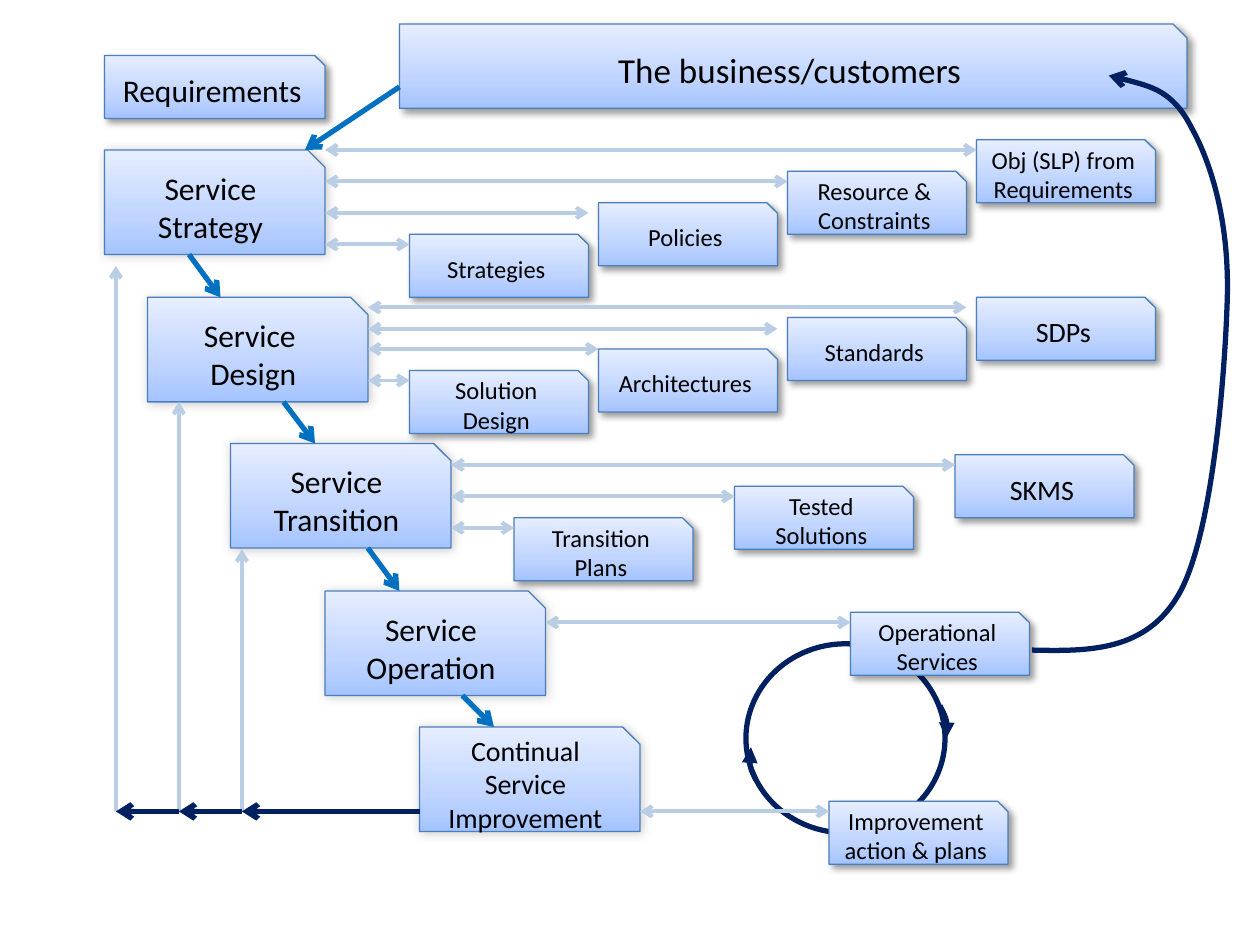
from dataclasses import dataclass
from itertools import pairwise

from lxml.etree import SubElement as Sub
from pptx import Presentation
from pptx.dml.color import RGBColor as Rgb
from pptx.enum.shapes import MSO_CONNECTOR as Link, MSO_SHAPE as Form
from pptx.enum.text import MSO_ANCHOR as Anchor, PP_ALIGN as Align
from pptx.oxml.ns import qn
from pptx.util import Inches, Pt

Point = tuple[float, float]


@dataclass(frozen=True)
class Theme:
    font: str = "Calibri"
    ink: str = "000000"
    edge: str = "4B7EBC"
    pale: str = "B9CDE5"
    blue: str = "0070C0"
    navy: str = "002060"
    grad: tuple = ((0, "A4C4FF"), (35, "BFD4FF"), (100, "E6EEFF"))
    small: int = 14
    mid: int = 16
    large: int = 18
    huge: int = 20
    hair: float = 0.75
    thin: float = 2.25
    thick: float = 3


@dataclass(frozen=True)
class Shade:
    alpha: int
    blur: int
    dist: int


@dataclass(frozen=True)
class Box:
    x: float
    y: float
    text: str
    size: int
    w: float = 1.42
    h: float = 0.5
    shade: Shade = Shade(40, 4, 3)


@dataclass(frozen=True)
class Stage:
    x: float
    y: float
    text: str
    size: int
    drop: float | None
    links: tuple[Point, ...]


@dataclass(frozen=True)
class Curve:
    start: Point
    steps: tuple[Point, ...]
    tip: str = "triangle"


LOOK = Theme()
SOFT = Shade(20, 6, 1)
WIDE, TALL = 1.75, 0.83
BASE = 6.44

STAGES = [
    Stage(0.83, 1.19, "Service Strategy", LOOK.large, 1.5,
          ((1.94, 3.25), (1.69, 4.67), (1.44, 6.25), (1.19, 7.75))),
    Stage(1.17, 2.36, "Service \vDesign", LOOK.large, 2.25,
          ((2.44, 7.67), (2.61, 6.17), (2.77, 4.75), (3.02, 3.25))),
    Stage(1.83, 3.52, "Service Transition", LOOK.large, 2.92,
          ((3.69, 7.58), (3.94, 5.83), (4.19, 4.08))),
    Stage(2.58, 4.69, "Service Operation", LOOK.large, 3.67, ((4.94, 6.75),)),
    Stage(3.33, 5.77, "Continual Service Improvement", LOOK.mid, None,
          ((BASE, 6.58),)),
]

BOXES = [
    Box(0.83, 0.44, "Requirements", LOOK.large, w=WIDE),
    Box(3.25, 1.86, "Strategies", LOOK.small),
    Box(4.75, 1.61, "Policies", LOOK.small),
    Box(6.25, 1.36, "Resource & Constraints", LOOK.small),
    Box(7.75, 1.11, "Obj (SLP) from Requirements", LOOK.small),
    Box(3.25, 2.94, "Solution Design", LOOK.small),
    Box(4.75, 2.77, "Architectures", LOOK.small),
    Box(6.25, 2.52, "Standards", LOOK.small),
    Box(7.75, 2.36, "SDPs", LOOK.mid),
    Box(4.08, 4.11, "Transition Plans", LOOK.small),
    Box(5.83, 3.86, "Tested Solutions", LOOK.small),
    Box(7.58, 3.61, "SKMS", LOOK.mid),
    Box(6.75, 4.86, "Operational Services", LOOK.small),
    Box(6.58, 6.36, "Improvement action & plans", LOOK.small),
    Box(3.17, 0.19, "The business/customers", LOOK.huge, w=6.25, h=0.67),
]

RISES = [(1.92, 4.36), (1.42, 3.19), (0.92, 2.11)]

CURVES = [
    Curve((8.19, 5.16), (
        (8.65, 5.17), (9.1, 5.17), (9.36, 4.71),
        (9.62, 4.25), (9.72, 3.01), (9.74, 2.39),
        (9.76, 1.78), (9.62, 1.31), (9.46, 1.02),
        (9.31, 0.72), (9.05, 0.66), (8.8, 0.6)), "arrow"),
    Curve((7.46, 5.6), ((7.5, 5.68), (7.54, 5.76), (7.51, 5.86))),
    Curve((6, 6.19), ((5.96, 6.11), (5.93, 6.03), (5.96, 5.93))),
]


def tint(node, color: str):
    return Sub(node, qn("a:srgbClr"), val=color)


def stroke(shape, color: str, width: float, head: str = "", tail: str = "") -> None:
    line = shape.line
    line.color.rgb = Rgb.from_string(color)
    line.width = Pt(width)
    for tag, kind in (("a:headEnd", head), ("a:tailEnd", tail)):
        if kind:
            Sub(line._get_or_add_ln(), qn(tag), type=kind)


def blend(shape) -> None:
    fill = Sub(shape._element.spPr, qn("a:gradFill"), rotWithShape="1")
    stops = Sub(fill, qn("a:gsLst"))
    for pos, color in LOOK.grad:
        tint(Sub(stops, qn("a:gs"), pos=str(pos * 1000)), color)
    Sub(fill, qn("a:lin"), ang=str(270 * 60000), scaled="0")


def cast(shape, shade: Shade) -> None:
    shape.shadow.inherit = False
    group = shape._element.spPr.find(qn("a:effectLst"))
    outer = Sub(group, qn("a:outerShdw"), blurRad=str(Pt(shade.blur)),
                dist=str(Pt(shade.dist)), dir=str(45 * 60000),
                algn="tl", rotWithShape="0")
    Sub(tint(outer, LOOK.ink), qn("a:alpha"), val=str(shade.alpha * 1000))


def draw_box(slide, box: Box) -> None:
    shape = slide.shapes.add_shape(Form.SNIP_1_RECTANGLE, Inches(box.x), Inches(box.y),
                                   Inches(box.w), Inches(box.h))
    blend(shape)
    stroke(shape, LOOK.edge, LOOK.hair)
    cast(shape, box.shade)
    frame = shape.text_frame
    frame.word_wrap = True
    frame.vertical_anchor = Anchor.MIDDLE
    para = frame.paragraphs[0]
    para.text = box.text
    para.alignment = Align.CENTER
    para.font.name = LOOK.font
    para.font.size = Pt(box.size)
    para.font.color.rgb = Rgb.from_string(LOOK.ink)


def draw_line(slide, start: Point, end: Point, color: str, width: float,
              head: str = "") -> None:
    ends = [Inches(v) for v in (*start, *end)]
    line = slide.shapes.add_connector(Link.STRAIGHT, *ends)
    stroke(line, color, width, head, "arrow")
    Sub(line._element.spPr, qn("a:effectLst"))


def draw_curve(slide, curve: Curve) -> None:
    pen = slide.shapes.build_freeform(*map(Inches, curve.start))
    pen.add_line_segments([(Inches(x), Inches(y)) for x, y in curve.steps], close=False)
    shape = pen.convert_to_shape()
    shape.fill.background()
    shape.shadow.inherit = False
    stroke(shape, LOOK.navy, LOOK.thick, tail=curve.tip)
    trace = next(shape._element.iter(qn("a:path")))
    legs = trace.findall(qn("a:lnTo"))
    for i in range(0, len(legs), 3):
        bend = Sub(trace, qn("a:cubicBezTo"))
        for leg in legs[i:i + 3]:
            bend.append(leg[0])
            trace.remove(leg)


def draw_ring(slide) -> None:
    ring = slide.shapes.add_shape(Form.OVAL, Inches(5.92), Inches(5.11),
                                  Inches(1.58), Inches(1.5))
    ring.fill.background()
    ring.shadow.inherit = False
    stroke(ring, LOOK.navy, LOOK.thick)


def main() -> None:
    deck = Presentation()
    deck.slide_width, deck.slide_height = Inches(10), Inches(7.5)
    slide = deck.slides.add_slide(deck.slide_layouts[6])
    draw_ring(slide)
    for s in STAGES:
        draw_box(slide, Box(s.x, s.y, s.text, s.size, WIDE, TALL, SOFT))
    for box in BOXES:
        draw_box(slide, box)
    for s in STAGES:
        for y, end in s.links:
            draw_line(slide, (s.x + WIDE, y), (end, y), LOOK.pale, LOOK.thin, "arrow")
    for x, top in RISES:
        draw_line(slide, (x, BASE), (x, top), LOOK.pale, LOOK.thin)
    for a, b in pairwise([STAGES[-1].x, *(x for x, _ in RISES)]):
        draw_line(slide, (a, BASE), (b, BASE), LOOK.navy, LOOK.thick)
    for s, after in pairwise(STAGES):
        draw_line(slide, (s.drop, s.y + TALL), (s.drop + 0.25, after.y),
                  LOOK.blue, LOOK.thick)
    draw_line(slide, (3.17, 0.69), (2.42, 1.19), LOOK.blue, LOOK.thick)
    for curve in CURVES:
        draw_curve(slide, curve)
    deck.save("out.pptx")


if __name__ == "__main__":
    main()
